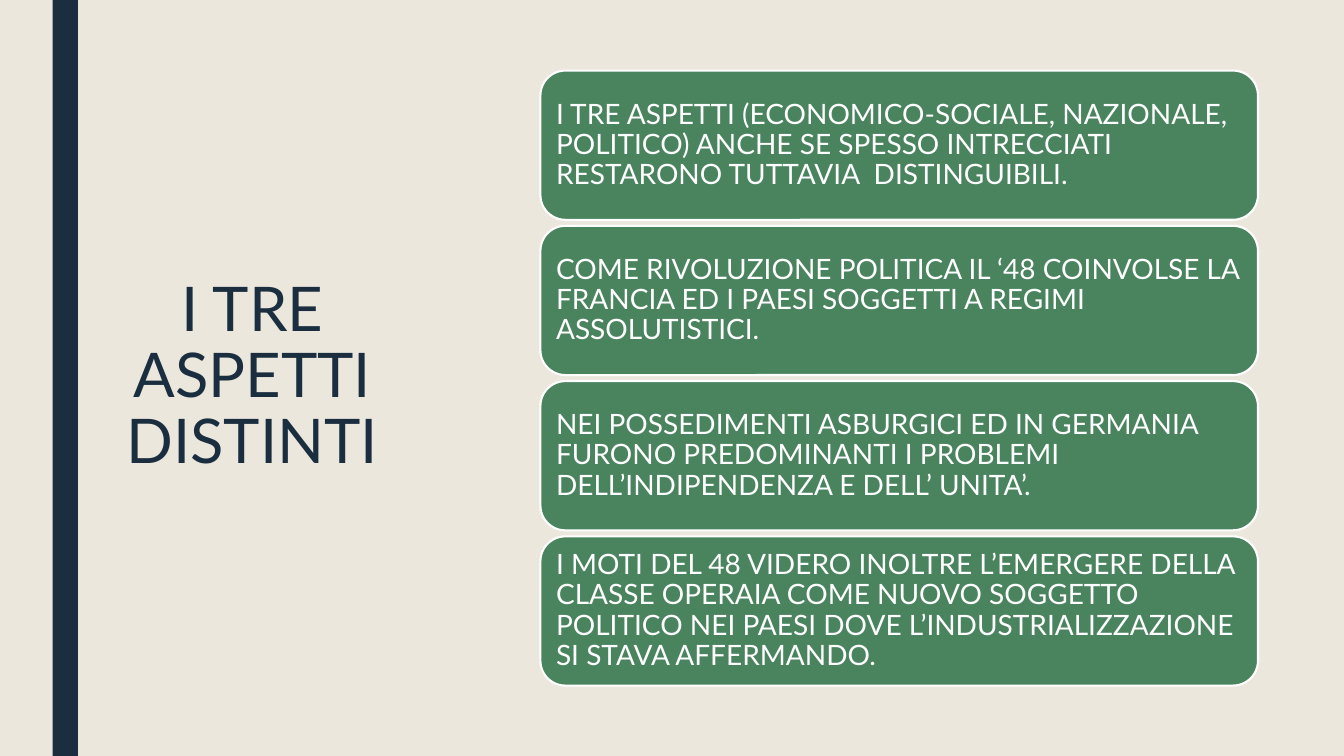
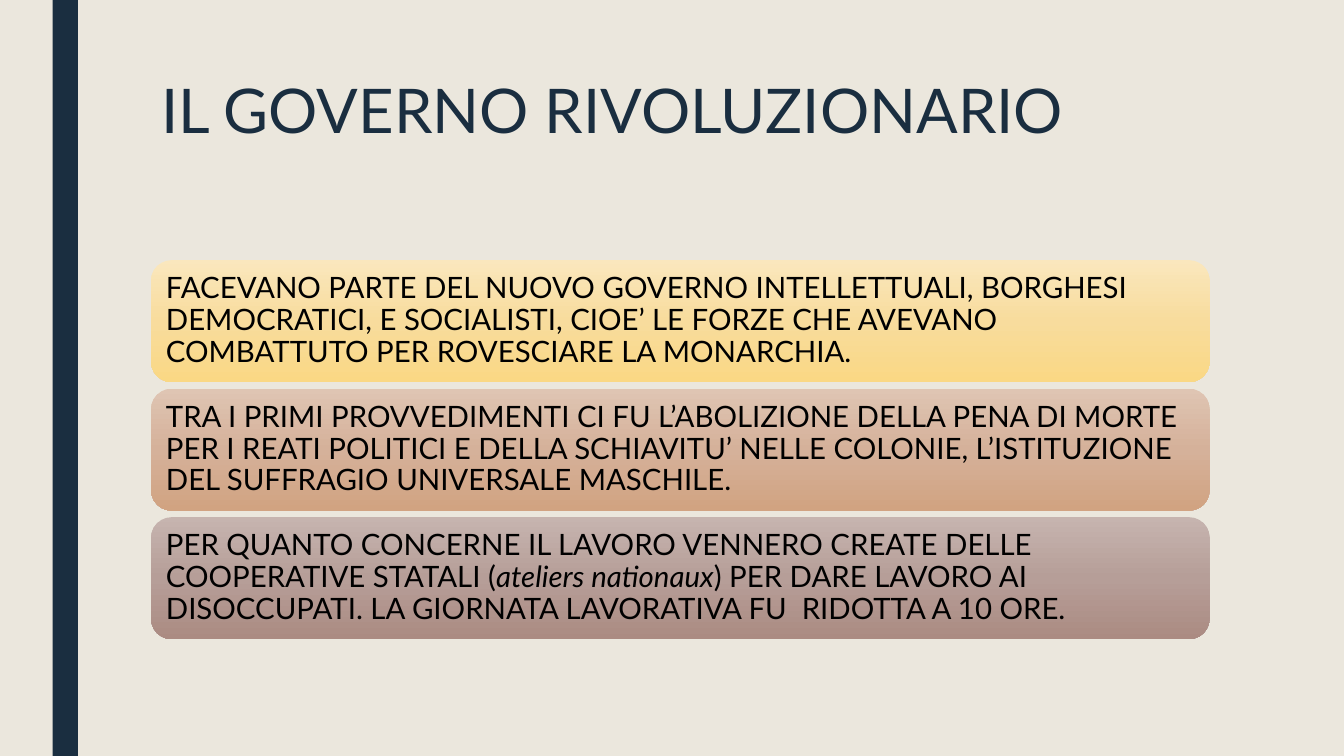
from copy import deepcopy

from pptx import Presentation
from pptx.dml.color import RGBColor
from pptx.enum.shapes import MSO_SHAPE
from pptx.enum.text import MSO_ANCHOR, PP_ALIGN
from pptx.oxml.ns import qn
from pptx.util import Pt

FONT = "Lato"
COLORS = {
    "background": "EBE7DD",
    "navy": "1A2E40",
    "green": "4A845E",
    "white": "FFFFFF",
    "black": "000000",
}
GRADIENTS = [
    ("FAE7BD", "F8DC9D", "FAD884"),
    ("DFC5B3", "D5B19A", "D1A381"),
    ("C6B4AF", "B69E98", "AB8B82"),
]
SLIDES = [
    {
        "title": "I TRE ASPETTI DISTINTI",
        "title_frame": (50.4, 50.4, 260, 439.2),
        "align": PP_ALIGN.CENTER,
        "anchor": MSO_ANCHOR.MIDDLE,
        "cards_frame": (386, 50.4, 512.6, 106.6),
        "gap": 4.3,
        "size": 20,
        "text_color": "white",
        "fills": [(COLORS["green"],)] * 4,
        "outline": "white",
        "cards": [
            ["I TRE ASPETTI (ECONOMICO-SOCIALE, NAZIONALE, POLITICO) ANCHE SE SPESSO "
             "INTRECCIATI RESTARONO TUTTAVIA  DISTINGUIBILI."],
            ["COME RIVOLUZIONE POLITICA IL ‘48 COINVOLSE LA FRANCIA ED I PAESI SOGGETTI "
             "A REGIMI ASSOLUTISTICI."],
            ["NEI POSSEDIMENTI ASBURGICI ED IN GERMANIA FURONO PREDOMINANTI I PROBLEMI "
             "DELL’INDIPENDENZA E DELL’ UNITA’."],
            ["I MOTI DEL 48 VIDERO INOLTRE L’EMERGERE DELLA CLASSE OPERAIA COME NUOVO "
             "SOGGETTO POLITICO NEI PAESI DOVE L’INDUSTRIALIZZAZIONE SI STAVA AFFERMANDO."],
        ],
    },
    {
        "title": "IL GOVERNO RIVOLUZIONARIO",
        "title_frame": (108, 54, 756, 116.6),
        "align": PP_ALIGN.LEFT,
        "anchor": MSO_ANCHOR.TOP,
        "cards_frame": (108, 185.8, 756, 87.1),
        "gap": 4.7,
        "size": 21,
        "text_color": "black",
        "fills": GRADIENTS,
        "outline": None,
        "cards": [
            ["FACEVANO PARTE DEL NUOVO GOVERNO INTELLETTUALI, BORGHESI DEMOCRATICI, E "
             "SOCIALISTI, CIOE’ LE FORZE CHE AVEVANO COMBATTUTO PER ROVESCIARE LA MONARCHIA."],
            ["TRA I PRIMI PROVVEDIMENTI CI FU L’ABOLIZIONE DELLA PENA DI MORTE PER I REATI "
             "POLITICI E DELLA SCHIAVITU’ NELLE COLONIE, L’ISTITUZIONE DEL SUFFRAGIO "
             "UNIVERSALE MASCHILE."],
            ["PER QUANTO CONCERNE IL LAVORO VENNERO CREATE DELLE COOPERATIVE STATALI (",
             "ateliers nationaux",
             ") PER DARE LAVORO AI DISOCCUPATI. LA GIORNATA LAVORATIVA FU  RIDOTTA A 10 ORE."],
        ],
    },
]


def rgb(name):
    return RGBColor.from_string(COLORS[name])


def paint(shape, colors):
    fill = shape.fill
    if len(colors) == 1:
        fill.solid()
        fill.fore_color.rgb = RGBColor.from_string(colors[0])
        return
    fill.gradient()
    fill.gradient_angle = 270
    stop_list = shape._element.spPr.find(qn("a:gradFill")).find(qn("a:gsLst"))
    stop_list.insert(1, deepcopy(stop_list[0]))
    for index, (stop, color) in enumerate(zip(fill.gradient_stops, colors)):
        stop.position = index / (len(colors) - 1)
        stop.color.rgb = RGBColor.from_string(color)


def add_block(page, kind, frame, colors, outline=None):
    shape = page.shapes.add_shape(kind, *map(Pt, frame))
    shape.shadow.inherit = False
    paint(shape, colors)
    if outline:
        shape.line.color.rgb = rgb(outline)
        shape.line.width = Pt(1.5)
    else:
        shape.line.fill.background()
    return shape


def write(shape, spans, size, color, spacing, align, anchor, insets):
    frame = shape.text_frame
    frame.word_wrap = True
    frame.vertical_anchor = anchor
    frame.margin_left = frame.margin_right = Pt(insets[0])
    frame.margin_top = frame.margin_bottom = Pt(insets[1])
    para = frame.paragraphs[0]
    para.alignment = align
    para.line_spacing = spacing
    para.font.name = FONT
    para.font.size = Pt(size)
    para.font.color.rgb = rgb(color)
    for index, text in enumerate(spans):
        span = para.add_run()
        span.text = text
        if index % 2:
            span.font.italic = True


def add_page(deck, content):
    page = deck.slides.add_slide(deck.slide_layouts[6])
    add_block(page, MSO_SHAPE.RECTANGLE, (37.6, 0, 18, 540), (COLORS["navy"],))

    title = page.shapes.add_textbox(*map(Pt, content["title_frame"]))
    write(title, [content["title"]], 44, "navy", 0.89,
          content["align"], content["anchor"], (7.2, 3.6))

    left, top, width, height = content["cards_frame"]
    for index, (spans, colors) in enumerate(zip(content["cards"], content["fills"])):
        card_top = top + index * (height + content["gap"])
        card = add_block(page, MSO_SHAPE.ROUNDED_RECTANGLE,
                         (left, card_top, width, height), colors, content["outline"])
        card.adjustments[0] = 0.167
        inset = content["size"] * 0.3
        write(card, spans, content["size"], content["text_color"], 0.9,
              PP_ALIGN.LEFT, MSO_ANCHOR.MIDDLE, (inset, inset))


def main():
    deck = Presentation()
    deck.slide_width, deck.slide_height = Pt(960), Pt(540)
    background = deck.slide_master.background.fill
    background.solid()
    background.fore_color.rgb = rgb("background")
    for content in SLIDES:
        add_page(deck, content)
    deck.save("out.pptx")


if __name__ == "__main__":
    main()
